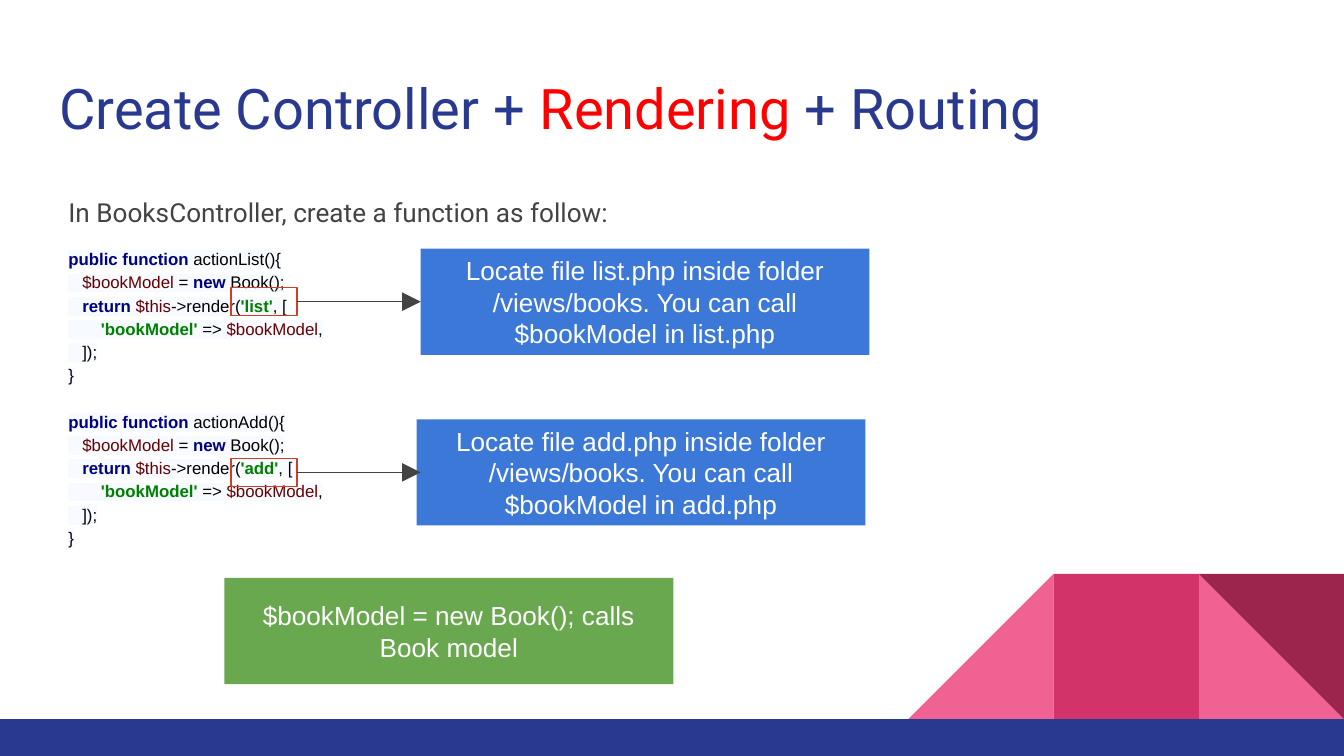
from typing import NamedTuple

from lxml import etree
from pptx import Presentation
from pptx.dml.color import RGBColor
from pptx.enum import shapes, text
from pptx.oxml import ns
from pptx.util import Inches, Pt

COLORS = {
    "navy": "2A3990", "red": "FF0000", "gray": "434343", "white": "FFFFFF",
    "pink": "F06292", "rose": "D23369", "wine": "9C254D",
    "blue": "3C78D8", "green": "6AA84F", "mark": "CC4125",
    "keyword": "000080", "variable": "660000", "string": "008000",
    "plain": "000000", "code_back": "F7FAFF",
}
RECT = shapes.MSO_SHAPE.RECTANGLE
TRIANGLE = shapes.MSO_SHAPE.RIGHT_TRIANGLE
RIGHT, LEFT = 3, 1  # connection sites of a rectangle
ARROW_END = 3.13


class Box(NamedTuple):
    left: float
    top: float
    width: float
    height: float


class Action(NamedTuple):
    name: str
    view: str
    space_before: float
    mark: Box
    callout: Box


ACTIONS = [
    Action("actionList", "list", 9.4, Box(1.72, 2.14, 0.49, 0.21), Box(ARROW_END, 1.85, 3.34, 0.79)),
    Action("actionAdd", "add", 12.4, Box(1.72, 3.41, 0.49, 0.21), Box(3.1, 3.12, 3.34, 0.79)),
]


def rgb(name: str) -> RGBColor:
    return RGBColor.from_string(COLORS[name])


def add_run(p, words: str, *, size: float, color: str, font: str = "Arial",
            bold: bool = False, highlight: str = "") -> None:
    r = p.add_run()
    r.text = words
    r.font.size = Pt(size)
    r.font.bold = bold
    r.font.color.rgb = rgb(color)
    if highlight:
        back = etree.SubElement(r.font._element, ns.qn("a:highlight"))
        etree.SubElement(back, ns.qn("a:srgbClr"), val=COLORS[highlight])
    r.font.name = font


def set_frame(tf, anchor) -> None:
    tf.word_wrap = True
    tf.auto_size = text.MSO_AUTO_SIZE.NONE
    tf.vertical_anchor = anchor
    tf.margin_left = tf.margin_right = tf.margin_top = tf.margin_bottom = Inches(0.1)


def add_block(slide, kind, box: Box, fill: str = "", line: str = ""):
    sp = slide.shapes.add_shape(kind, *map(Inches, box))
    sp.shadow.inherit = False
    if fill:
        sp.fill.solid()
        sp.fill.fore_color.rgb = rgb(fill)
    else:
        sp.fill.background()
    if line:
        sp.line.color.rgb = rgb(line)
        sp.line.width = Pt(0.75)
    else:
        sp.line.fill.background()
    return sp


def add_callout(slide, box: Box, words: str, fill: str):
    sp = add_block(slide, RECT, box, fill)
    set_frame(sp.text_frame, text.MSO_ANCHOR.MIDDLE)
    p = sp.text_frame.paragraphs[0]
    p.alignment = text.PP_ALIGN.CENTER
    add_run(p, words, size=14, color="white")
    return sp


def add_arrow(slide, mark, callout) -> None:
    y = mark.top + mark.height // 2
    line = slide.shapes.add_connector(
        shapes.MSO_CONNECTOR.STRAIGHT, mark.left + mark.width, y, Inches(ARROW_END), y)
    line.begin_connect(mark, RIGHT)
    if callout.left == Inches(ARROW_END):
        line.end_connect(callout, LEFT)
    line.line.color.rgb = rgb("gray")
    line.line.width = Pt(0.75)
    etree.SubElement(line.line._get_or_add_ln(), ns.qn("a:tailEnd"),
                     type="triangle", w="lg", len="lg")
    etree.SubElement(line._element.spPr, ns.qn("a:effectLst"))


def add_decoration(slide) -> None:
    side, top = 1.08, 4.27
    left, middle, right = (Box(10 - n * side, top, side, side) for n in (3, 2, 1))
    add_block(slide, TRIANGLE, right, "pink")
    flipped = add_block(slide, TRIANGLE, left, "pink")
    flipped._element.spPr.xfrm.set("flipH", "1")
    add_block(slide, RECT, middle, "rose")
    add_block(slide, TRIANGLE, right, "wine").rotation = 180
    add_block(slide, RECT, Box(0, top + side, 10, 0.28), "navy")


def set_title(slide) -> None:
    title = slide.shapes.title
    title.left, title.top, title.width, title.height = map(Inches, (0.34, 0.45, 9.32, 0.66))
    set_frame(title.text_frame, text.MSO_ANCHOR.TOP)
    p = title.text_frame.paragraphs[0]
    p.alignment = text.PP_ALIGN.LEFT
    for words, color in (("Create Controller + ", "navy"), ("Rendering", "red"), (" + Routing", "navy")):
        add_run(p, words, size=30, color=color, font="Roboto")


def code_lines(action: Action) -> list[list[tuple[str, str]]]:
    """Return the function's lines as (text, colour) pieces."""
    return [
        [("public function ", "keyword"), (f"{action.name}(){{", "plain")],
        [("   ", "plain"), ("$bookModel ", "variable"), ("= ", "plain"),
         ("new ", "keyword"), ("Book();", "plain")],
        [("   ", "plain"), ("return ", "keyword"), ("$this", "variable"),
         ("->render(", "plain"), (f"'{action.view}'", "string"), (", [", "plain")],
        [("       ", "plain"), ("'bookModel' ", "string"), ("=> ", "plain"),
         ("$bookModel", "variable"), (",", "plain")],
        [("   ]);", "plain")],
        [("}", "plain")],
    ]


def add_body(slide) -> None:
    tf = slide.shapes.add_textbox(*map(Inches, (0.41, 1.33, 9.32, 3.65))).text_frame
    set_frame(tf, text.MSO_ANCHOR.TOP)
    p = tf.paragraphs[0]
    p.line_spacing = 1.15
    add_run(p, "In BooksController, create a function as follow:", size=14, color="gray", font="Roboto")
    for action in ACTIONS:
        for i, pieces in enumerate(code_lines(action)):
            p = tf.add_paragraph()
            p.line_spacing = 1.15
            if i == 0:
                p.space_before = Pt(action.space_before)
            for words, color in pieces:
                add_run(p, words, size=9, color=color, bold=color in ("keyword", "string"),
                        highlight="code_back")


def main() -> None:
    prs = Presentation()
    prs.slide_width = Inches(10)
    prs.slide_height = prs.slide_width * 9 // 16
    slide = prs.slides.add_slide(prs.slide_layouts[5])
    add_decoration(slide)
    set_title(slide)
    add_body(slide)
    marks = [add_block(slide, RECT, action.mark, line="mark") for action in ACTIONS]
    for action, mark in zip(ACTIONS, marks):
        words = (f"Locate file {action.view}.php inside folder /views/books. "
                 f"You can call $bookModel in {action.view}.php")
        callout = add_callout(slide, action.callout, words, "blue")
        add_arrow(slide, mark, callout)
    add_callout(slide, Box(1.67, 4.3, 3.34, 0.79), "$bookModel = new Book(); calls Book model", "green")
    prs.save("out.pptx")


if __name__ == "__main__":
    main()
